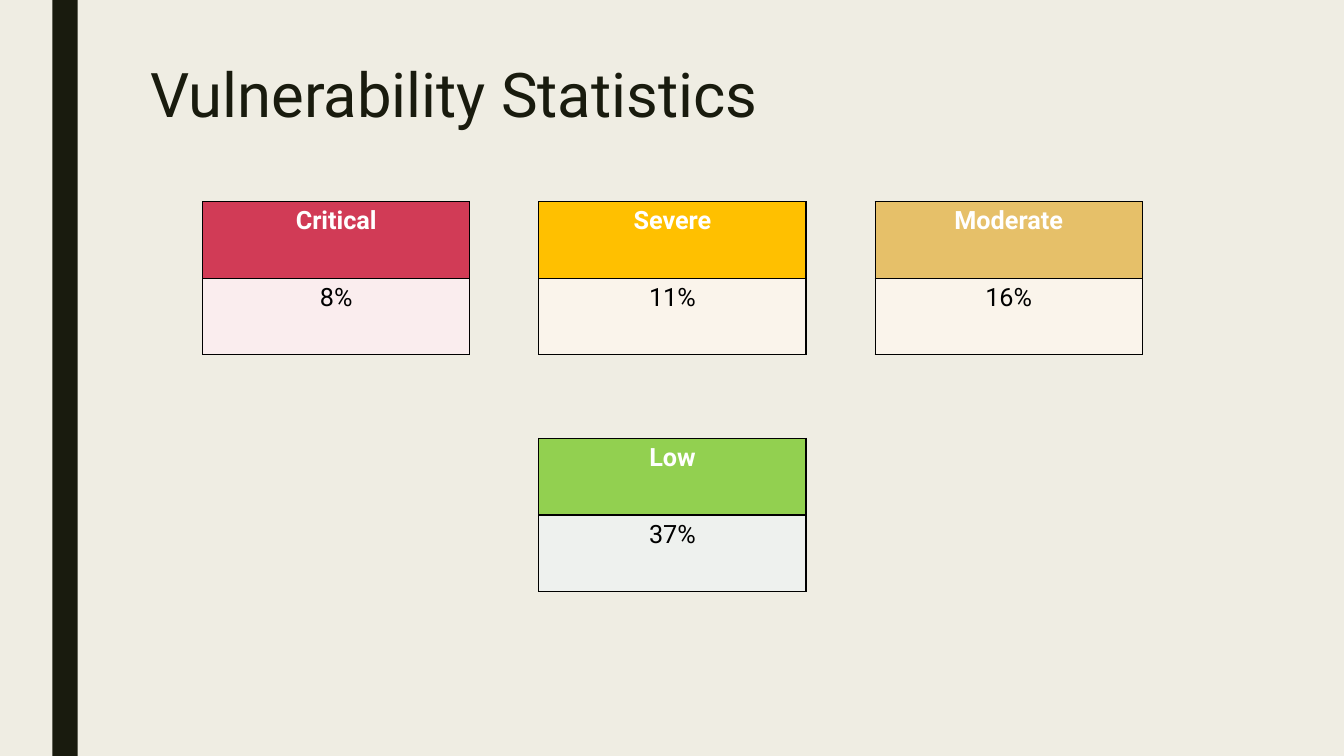
from lxml.etree import SubElement
from pptx import Presentation
from pptx.dml.color import RGBColor
from pptx.enum.shapes import MSO_SHAPE
from pptx.enum.text import MSO_ANCHOR, PP_ALIGN
from pptx.oxml.ns import qn
from pptx.util import Inches, Pt

FONT = "Roboto"
COLORS = {
    "background": "EFEDE3",
    "ink": "191B0E",
    "white": "FFFFFF",
    "black": "000000",
    "critical": "D13B56",
    "critical_tint": "FAEDEE",
    "severe": "FFC000",
    "moderate": "E6C069",
    "warm_tint": "FAF4EB",
    "low": "92D050",
    "low_tint": "EEF1EE",
}
# Severity, share, header colour, value colour, grid column, grid row
SEVERITIES = [
    ("Critical", "8%", "critical", "critical_tint", 0, 0),
    ("Severe", "11%", "severe", "warm_tint", 1, 0),
    ("Moderate", "16%", "moderate", "warm_tint", 2, 0),
    ("Low", "37%", "low", "low_tint", 1, 1),
]
GRID_LEFT, GRID_TOP = 2.01, 2.0
COLUMN_STEP, ROW_STEP = 3.335, 2.35
CARD_WIDTH, CARD_HEIGHT = 2.65, 1.52


def color(name):
    return RGBColor.from_string(COLORS[name])


def format_text(paragraph, size, color_name, bold=False):
    for span in paragraph.runs:
        span.font.name = FONT
        span.font.size = Pt(size)
        span.font.bold = bold
        span.font.color.rgb = color(color_name)


def add_borders(cell):
    properties = cell._tc.get_or_add_tcPr()
    for side in ("a:lnL", "a:lnR", "a:lnT", "a:lnB"):
        line = SubElement(properties, qn(side), w=str(Pt(1)))
        fill = SubElement(line, qn("a:solidFill"))
        SubElement(fill, qn("a:srgbClr"), val=COLORS["black"])


def add_side_bar(slide, left, top, width, height):
    bar = slide.shapes.add_shape(
        MSO_SHAPE.RECTANGLE, Inches(left), Inches(top), Inches(width), Inches(height))
    bar.shadow.inherit = False
    bar.fill.solid()
    bar.fill.fore_color.rgb = color("ink")
    bar.line.fill.background()


def add_title(slide, left, top, width, height):
    box = slide.shapes.add_textbox(
        Inches(left), Inches(top), Inches(width), Inches(height))
    frame = box.text_frame
    frame.word_wrap = True
    frame.vertical_anchor = MSO_ANCHOR.MIDDLE
    para = frame.paragraphs[0]
    para.text = "Vulnerability Statistics"
    para.line_spacing = 0.9
    format_text(para, 44, "ink")


def add_severity_card(slide, left, top, width, height, rows):
    """Add a one-column table; each row is text, fill, text colour and bold."""
    table = slide.shapes.add_table(
        len(rows), 1, Inches(left), Inches(top), Inches(width), Inches(height)).table
    for index, (text, fill_name, text_color, bold) in enumerate(rows):
        cell = table.cell(index, 0)
        add_borders(cell)
        cell.fill.solid()
        cell.fill.fore_color.rgb = color(fill_name)
        para = cell.text_frame.paragraphs[0]
        para.text = text
        para.alignment = PP_ALIGN.CENTER
        format_text(para, 18, text_color, bold)


def add_severity_grid(slide, left, top):
    for name, share, header_fill, value_fill, column, row in SEVERITIES:
        rows = [(name, header_fill, "white", True),
                (share, value_fill, "black", False)]
        add_severity_card(slide, left + column * COLUMN_STEP, top + row * ROW_STEP,
                          CARD_WIDTH, CARD_HEIGHT, rows)


def main():
    deck = Presentation()
    deck.slide_width, deck.slide_height = Inches(13.33), Inches(7.5)
    page = deck.slides.add_slide(deck.slide_layouts[6])
    page.background.fill.solid()
    page.background.fill.fore_color.rgb = color("background")
    add_side_bar(page, 0.52, 0, 0.25, 7.5)
    add_title(page, 1.39, 0.16, 10.5, 1.62)
    add_severity_grid(page, GRID_LEFT, GRID_TOP)
    deck.save("out.pptx")


if __name__ == "__main__":
    main()
